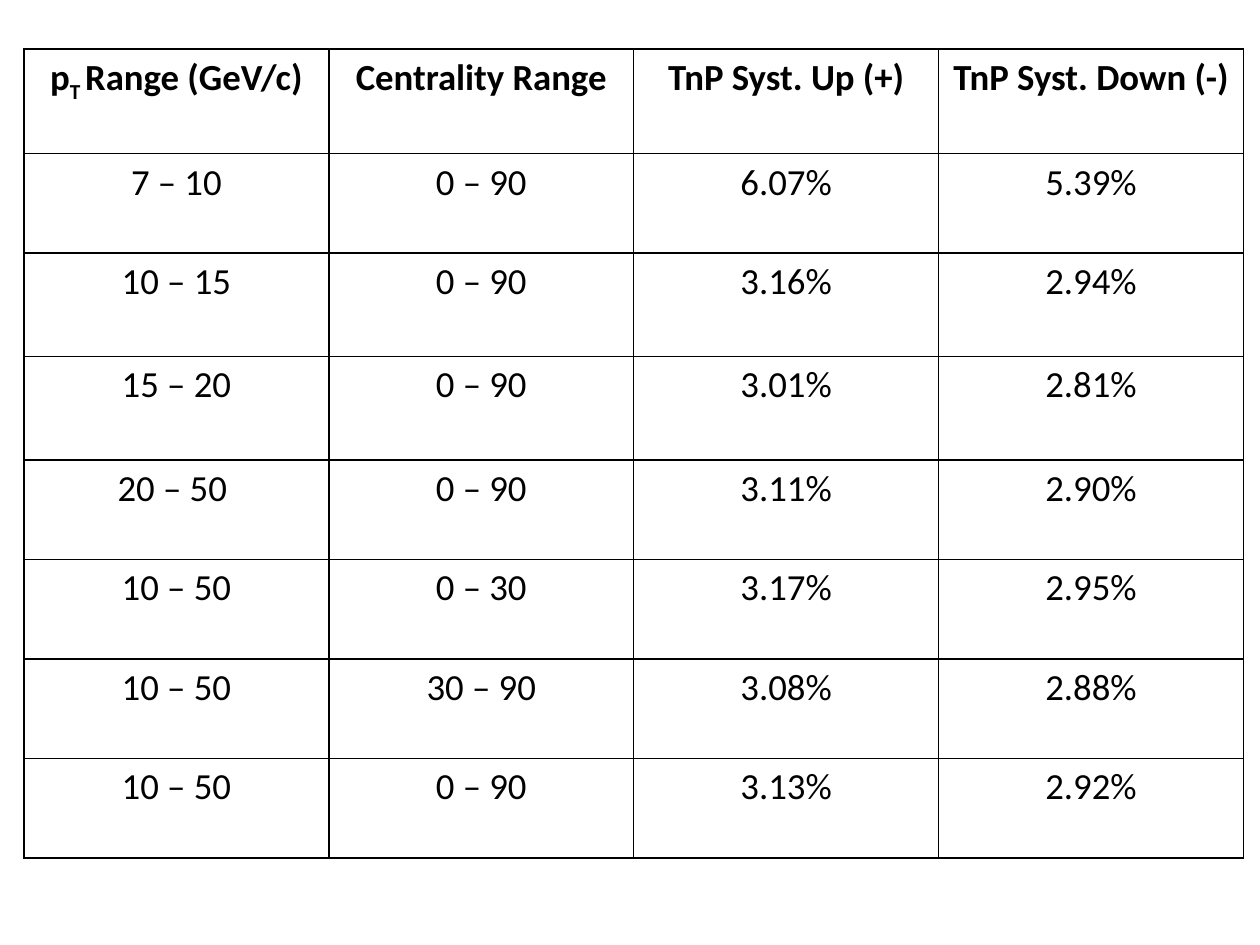
"""Build a slide tabulating the TnP systematic uncertainties by pT and centrality."""
from dataclasses import dataclass

from lxml import etree
from pptx import Presentation, util as u
from pptx.dml.color import RGBColor
from pptx.enum import text
from pptx.oxml.ns import qn


@dataclass(frozen=True)
class Theme:
    font: str = "Calibri"
    size: u.Pt = u.Pt(21)
    ink: str = "000000"
    rule: u.Pt = u.Pt(1)
    subscript: str = "-25000"


class SlideBuilder:
    def __init__(self, slide, theme):
        self.slide = slide
        self.theme = theme

    def table(self, left, top, column_width, row_heights, rows):
        width = column_width * len(rows[0])
        grid = self.slide.shapes.add_table(
            len(rows), len(rows[0]), left, top, width, sum(row_heights)
        ).table
        grid.first_row = grid.horz_banding = False
        for column in grid.columns:
            column.width = column_width
        for row, height in zip(grid.rows, row_heights):
            row.height = height
        for row_index, values in enumerate(rows):
            for column_index, value in enumerate(values):
                cell = grid.cell(row_index, column_index)
                self.borders(cell)
                cell.fill.background()
                self.label(cell, value, bold=row_index == 0)

    def borders(self, cell):
        properties = cell._tc.get_or_add_tcPr()
        for side in ("lnL", "lnR", "lnT", "lnB"):
            line = etree.SubElement(properties, qn(f"a:{side}"), w=str(self.theme.rule))
            fill = etree.SubElement(line, qn("a:solidFill"))
            etree.SubElement(fill, qn("a:srgbClr"), val=self.theme.ink)

    def label(self, cell, value, bold):
        paragraph = cell.text_frame.paragraphs[0]
        paragraph.alignment = text.PP_ALIGN.CENTER
        font = paragraph.font
        font.name, font.size, font.bold = self.theme.font, self.theme.size, bold
        font.color.rgb = RGBColor.from_string(self.theme.ink)
        pieces = (value,) if isinstance(value, str) else value
        for index, piece in enumerate(pieces):
            run = paragraph.add_run()
            run.text = piece
            if index == 1:
                run._r.get_or_add_rPr().set("baseline", self.theme.subscript)


HEADINGS = (
    ("p", "T ", "Range (GeV/c)"),
    "Centrality Range",
    "TnP Syst. Up (+)",
    "TnP Syst. Down (-)",
)
UNCERTAINTIES = (
    ("7 – 10", "0 – 90", "6.07%", "5.39%"),
    ("10 – 15", "0 – 90", "3.16%", "2.94%"),
    ("15 – 20", "0 – 90", "3.01%", "2.81%"),
    ("20 – 50 ", "0 – 90", "3.11%", "2.90%"),
    ("10 – 50", "0 – 30", "3.17%", "2.95%"),
    ("10 – 50", "30 – 90", "3.08%", "2.88%"),
    ("10 – 50", "0 – 90", "3.13%", "2.92%"),
)
ROW_HEIGHTS = (0.83, 0.79, 0.82, 0.82, 0.79, 0.79, 0.79, 0.79)


def main():
    deck = Presentation()
    deck.slide_width, deck.slide_height = u.Inches(10), u.Inches(7.5)
    builder = SlideBuilder(deck.slides.add_slide(deck.slide_layouts[6]), Theme())
    builder.table(
        left=u.Inches(0.19),
        top=u.Inches(0.39),
        column_width=u.Inches(2.42),
        row_heights=[u.Inches(height) for height in ROW_HEIGHTS],
        rows=(HEADINGS, *UNCERTAINTIES),
    )
    deck.save("out.pptx")


if __name__ == "__main__":
    main()
